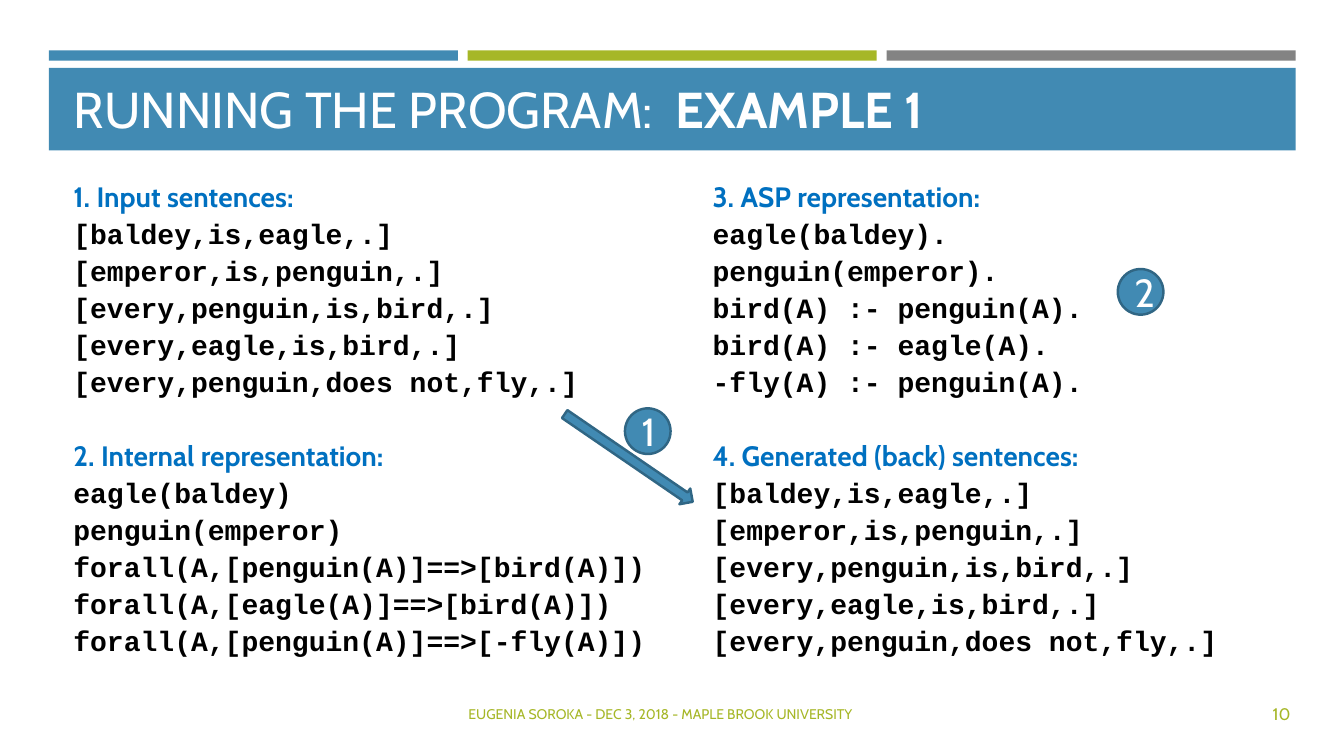
from dataclasses import dataclass

from pptx import Presentation
from pptx.dml.color import RGBColor
from pptx.enum.shapes import MSO_SHAPE as Kind
from pptx.enum.text import MSO_ANCHOR as Anchor, PP_ALIGN as Align
from pptx.util import Cm, Pt


@dataclass(frozen=True)
class Theme:
    blue: str = "418AB3"
    green: str = "A6B727"
    gray: str = "838383"
    edge: str = "306684"
    head: str = "0070C0"
    black: str = "000000"
    white: str = "FFFFFF"
    sans: str = "Cabin"
    mono: str = "Courier New"
    title: int = 36
    badge: int = 28
    body: int = 20
    page: int = 12
    foot: int = 10


T = Theme()

BLOCKS = [
    ("1. Input sentences:",
     ["[baldey,is,eagle,.]", "[emperor,is,penguin,.]",
      "[every,penguin,is,bird,.]", "[every,eagle,is,bird,.]",
      "[every,penguin,does not,fly,.]"]),
    ("2. Internal representation:",
     ["eagle(baldey)", "penguin(emperor)",
      "forall(A,[penguin(A)]==>[bird(A)])",
      "forall(A,[eagle(A)]==>[bird(A)])",
      "forall(A,[penguin(A)]==>[-fly(A)])"]),
    ("3. ASP representation:",
     ["eagle(baldey).", "penguin(emperor).", "bird(A) :- penguin(A).",
      "bird(A) :- eagle(A).", "-fly(A) :- penguin(A)."]),
]
# The program gives back the sentences it was fed
BLOCKS.append(("4. Generated (back) sentences:", BLOCKS[0][1]))


def write(par, text, size=T.body, color=T.black, font=T.sans, bold=False,
          align=Align.LEFT, line=None):
    """Add one run to a paragraph and set its format."""
    run = par.add_run()
    run.text = text
    run.font.size, run.font.name, run.font.bold = Pt(size), font, bold
    run.font.color.rgb = RGBColor.from_string(color)
    par.alignment = align
    if line:
        par.line_spacing = line


def frame(slide, box, anchor=Anchor.TOP):
    """Add a wrapping text box and return its text frame."""
    body = slide.shapes.add_textbox(*map(Cm, box)).text_frame
    body.word_wrap = True
    body.vertical_anchor = anchor
    return body


def draw(slide, kind, box, fill=T.blue, edge=None):
    """Add a flat preset shape."""
    shape = slide.shapes.add_shape(kind, *map(Cm, box))
    shape.shadow.inherit = False
    shape.fill.solid()
    shape.fill.fore_color.rgb = RGBColor.from_string(fill)
    if edge:
        shape.line.color.rgb = RGBColor.from_string(edge)
        shape.line.width = Pt(1.75)
    else:
        shape.line.fill.background()
    return shape


def header(slide, box):
    """Three color bars above a title band."""
    left, top, width, height = box
    gap = 0.25
    bar = (width - 2 * gap) / 3
    for i, color in enumerate((T.blue, T.green, T.gray)):
        draw(slide, Kind.RECTANGLE,
             (left + i * (bar + gap), top, bar, 0.26), color)
    draw(slide, Kind.RECTANGLE, (left, top + 0.44, width, height - 0.44))
    par = frame(slide, (left + 0.38, top + 0.28, width - 0.8, height - 0.44),
                Anchor.BOTTOM).paragraphs[0]
    write(par, "RUNNING THE PROGRAM:  ", size=T.title, color=T.white)
    write(par, "EXAMPLE 1", size=T.title, color=T.white, bold=True)


def block(slide, box, head, code):
    """A heading with its lines of code."""
    body = frame(slide, box)
    write(body.paragraphs[0], head, color=T.head, bold=True, line=1.1)
    for text in code:
        write(body.add_paragraph(), text, font=T.mono, bold=True, line=1.1)


def content(slide, box):
    """Four blocks, filled column by column."""
    left, top, width, height = box
    for i, (head, code) in enumerate(BLOCKS):
        col, row = divmod(i, 2)
        block(slide, (left + col * width / 2, top + row * height / 2,
                      width / 2 - 0.2, height / 2), head, code)


def badge(slide, box, text):
    """A numbered circle."""
    body = draw(slide, Kind.OVAL, box, edge=T.edge).text_frame
    body.word_wrap = True
    body.vertical_anchor = Anchor.MIDDLE
    write(body.paragraphs[0], text, size=T.badge, color=T.white,
          align=Align.CENTER)


def marks(slide, box):
    """The slanted arrow and both badges."""
    left, top, size = box
    arrow = draw(slide, Kind.RIGHT_ARROW,
                 (left, top + 4.52, 3.91, 0.48), edge=T.edge)
    arrow.rotation = 34.4
    badge(slide, (left + 1.86, top + 3.51, size, size), "1")
    badge(slide, (left + 14.28, top, size, size), "2")


def footer(slide, box):
    """Centered credit line and page number."""
    left, top, width, height = box
    page = 1.3
    parts = [
        ("EUGENIA SOROKA - DEC 3, 2018 - MAPLE BROOK UNIVERSITY",
         T.foot, left, width - page),
        ("10", T.page, left + width - page, page),
    ]
    for text, size, x, wide in parts:
        body = frame(slide, (x, top, wide, height), Anchor.MIDDLE)
        write(body.paragraphs[0], text, size=size, color=T.green,
              align=Align.CENTER)


def main():
    deck = Presentation()
    deck.slide_width, deck.slide_height = Cm(33.87), Cm(19.05)
    slide = deck.slides.add_slide(deck.slide_layouts[6])
    header(slide, (1.23, 1.27, 31.42, 2.52))
    footer(slide, (1.63, 17.48, 31.32, 1.02))
    content(slide, (1.6, 4.32, 32.22, 13.06))
    marks(slide, (13.89, 6.78, 1.15))
    deck.save("out.pptx")


if __name__ == "__main__":
    main()
